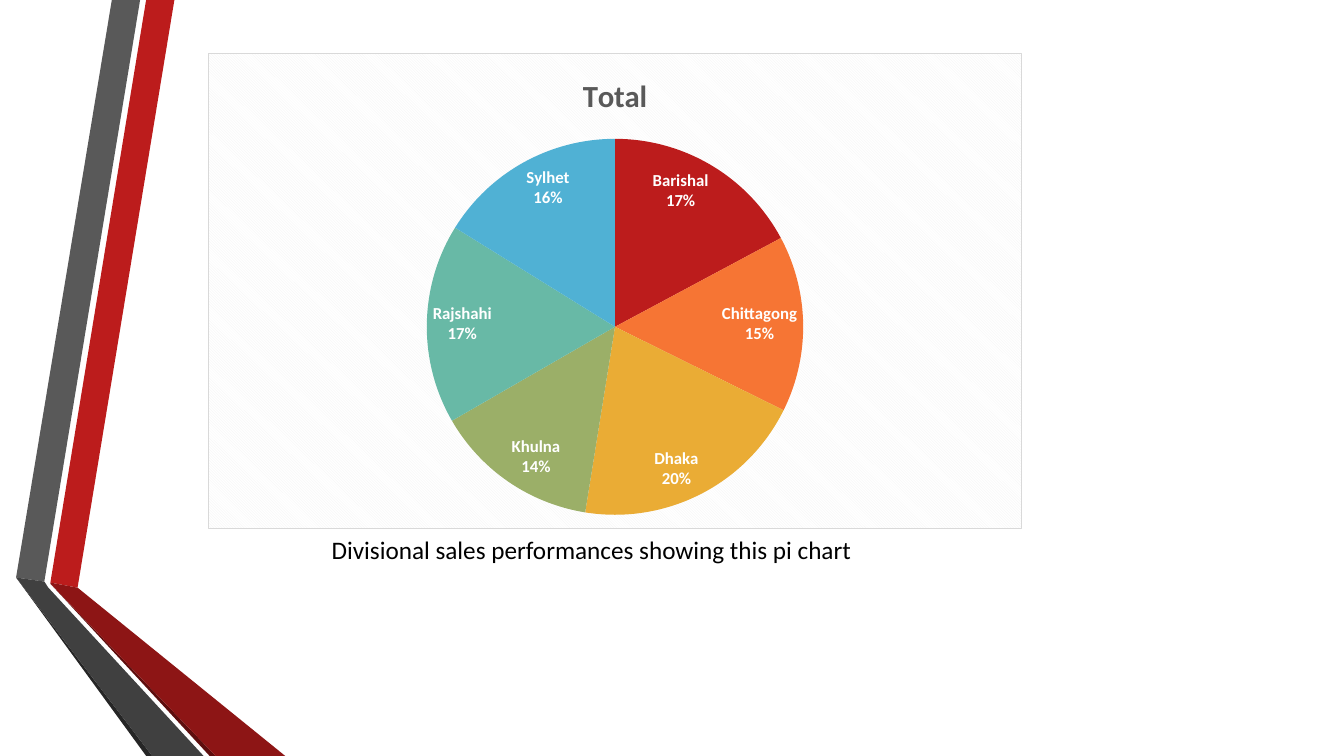
from pptx import Presentation
from pptx.chart.data import CategoryChartData
from pptx.dml.color import RGBColor
from pptx.enum.chart import XL_CHART_TYPE, XL_LABEL_POSITION
from pptx.oxml import parse_xml
from pptx.oxml.ns import nsdecls, qn
from pptx.util import Inches, Pt


def rgb(value):
    return RGBColor.from_string(value)


class SlideBuilder:
    """Holds the style and the current slide and adds elements to it."""

    font = "Calibri"
    black = "000000"
    gray = "595959"
    white = "FFFFFF"

    def __init__(self, prs):
        self.s = prs.slides.add_slide(prs.slide_layouts[6])

    def style(self, font, size, color, bold=False):
        font.name = self.font
        font.size = Pt(size)
        font.bold = bold
        font.color.rgb = rgb(color)

    def ribbon(self, points, color):
        start, *rest = [(Inches(x), Inches(y)) for x, y in points]
        builder = self.s.shapes.build_freeform(*start)
        builder.add_line_segments(rest, close=True)
        sp = builder.convert_to_shape()
        sp.shadow.inherit = False
        sp.fill.solid()
        sp.fill.fore_color.rgb = rgb(color)
        sp.line.fill.background()

    def text(self, text, left, top, width, height, size):
        sp = self.s.shapes.add_textbox(
            Inches(left), Inches(top), Inches(width), Inches(height))
        tf = sp.text_frame
        tf.word_wrap = True
        p = tf.paragraphs[0]
        p.text = text
        self.style(p.font, size, self.black)

    def pie(self, title, slices, left, top, width, height):
        data = CategoryChartData()
        data.categories = [name for name, _, _ in slices]
        data.add_series(title, [value for _, value, _ in slices])
        chart = self.s.shapes.add_chart(
            XL_CHART_TYPE.PIE, Inches(left), Inches(top),
            Inches(width), Inches(height), data).chart
        self.style(chart.font, 10, self.black)
        chart.has_legend = False
        chart.has_title = True
        chart.chart_title.include_in_layout = False
        p = chart.chart_title.text_frame.paragraphs[0]
        p.text = title
        self.style(p.font, 22, self.gray, True)

        plot = chart.plots[0]
        plot.vary_by_categories = True
        for i, (_, _, color) in enumerate(slices):
            fill = plot.series[0].points[i].format.fill
            fill.solid()
            fill.fore_color.rgb = rgb(color)
        plot.has_data_labels = True
        labels = plot.data_labels
        labels.show_value = False
        labels.show_category_name = True
        labels.show_percentage = True
        labels.position = XL_LABEL_POSITION.INSIDE_END
        self.style(labels.font, 12, self.white, True)
        self.chart_area(chart, "F2F2F2", self.white, "D9D9D9")

    def chart_area(self, chart, stripe, back, border):
        area = parse_xml(
            f'<c:spPr {nsdecls("c", "a")}><a:pattFill prst="dkDnDiag">'
            f'<a:fgClr><a:srgbClr val="{stripe}"/></a:fgClr>'
            f'<a:bgClr><a:srgbClr val="{back}"/></a:bgClr></a:pattFill>'
            f'<a:ln w="{Pt(0.75)}"><a:solidFill><a:srgbClr val="{border}"/>'
            '</a:solidFill></a:ln></c:spPr>')
        chart.element.find(qn("c:chart")).addnext(area)


RIBBONS = [
    ([(0.5, 5.78), (0.77, 5.83), (1.73, 0), (1.45, 0)], "BC1C1C"),
    ([(1.39, 0), (1.11, 0), (0.16, 5.73), (0.44, 5.77)], "595959"),
    ([(0.16, 5.73), (1.45, 7.5), (1.51, 7.5)], "262626"),
    ([(0.5, 5.79), (2.08, 7.5), (2.14, 7.5)], "5E0E0E"),
    ([(0.5, 5.79), (2.14, 7.5), (2.83, 7.5), (0.77, 5.83), (0.5, 5.78)],
     "8D1515"),
    ([(2.02, 7.5), (0.48, 5.83), (0.44, 5.77), (0.16, 5.73), (1.51, 7.5)],
     "404040"),
]

DIVISIONS = [
    ("Barishal", 17, "BC1C1C"),
    ("Chittagong", 15, "F67534"),
    ("Dhaka", 20, "EAAC35"),
    ("Khulna", 14, "9BAF68"),
    ("Rajshahi", 17, "68B9A6"),
    ("Sylhet", 16, "50B1D4"),
]


def main():
    prs = Presentation()
    prs.slide_width = Inches(13.33)
    prs.slide_height = Inches(7.5)
    slide = SlideBuilder(prs)
    for points, color in RIBBONS:
        slide.ribbon(points, color)
    slide.pie("Total", DIVISIONS, 2.06, 0.53, 8.08, 4.72)
    slide.text("Divisional sales performances showing this pi chart",
               3.19, 5.25, 6.94, 0.4, 18)
    prs.save("out.pptx")


if __name__ == "__main__":
    main()
